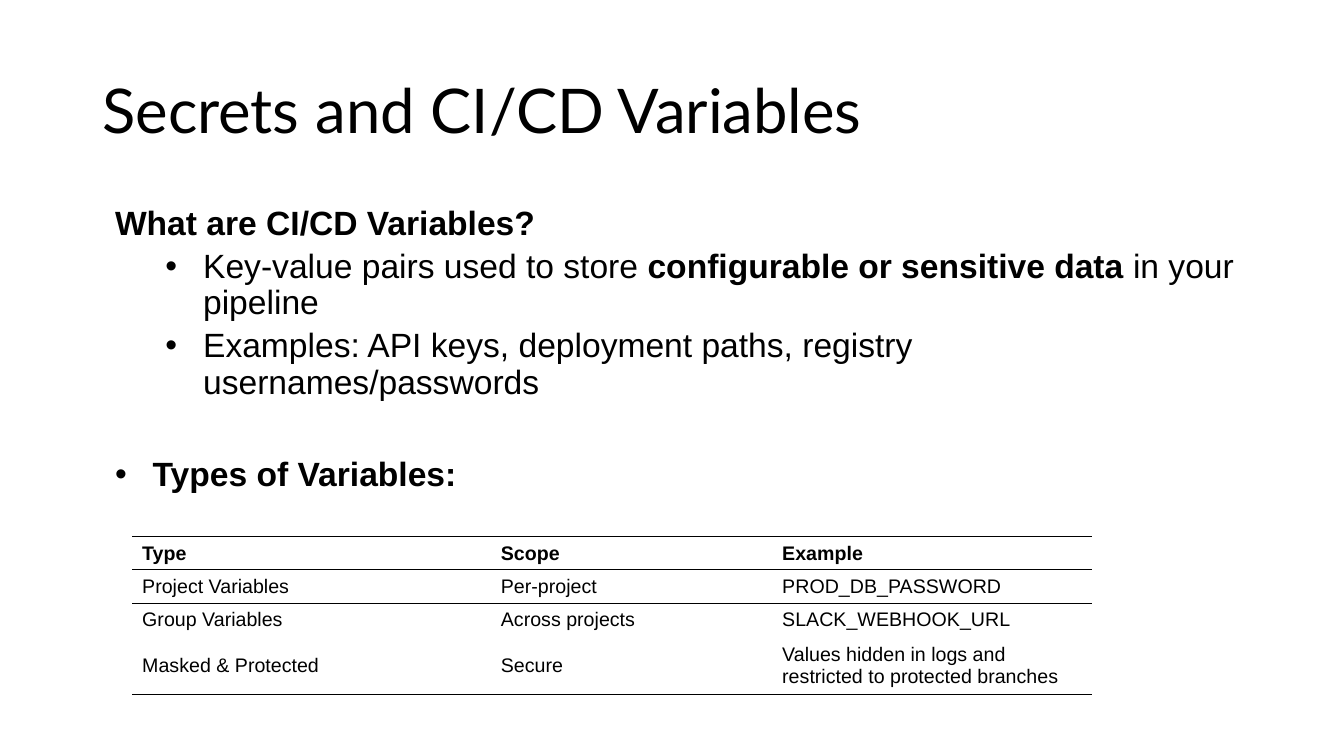
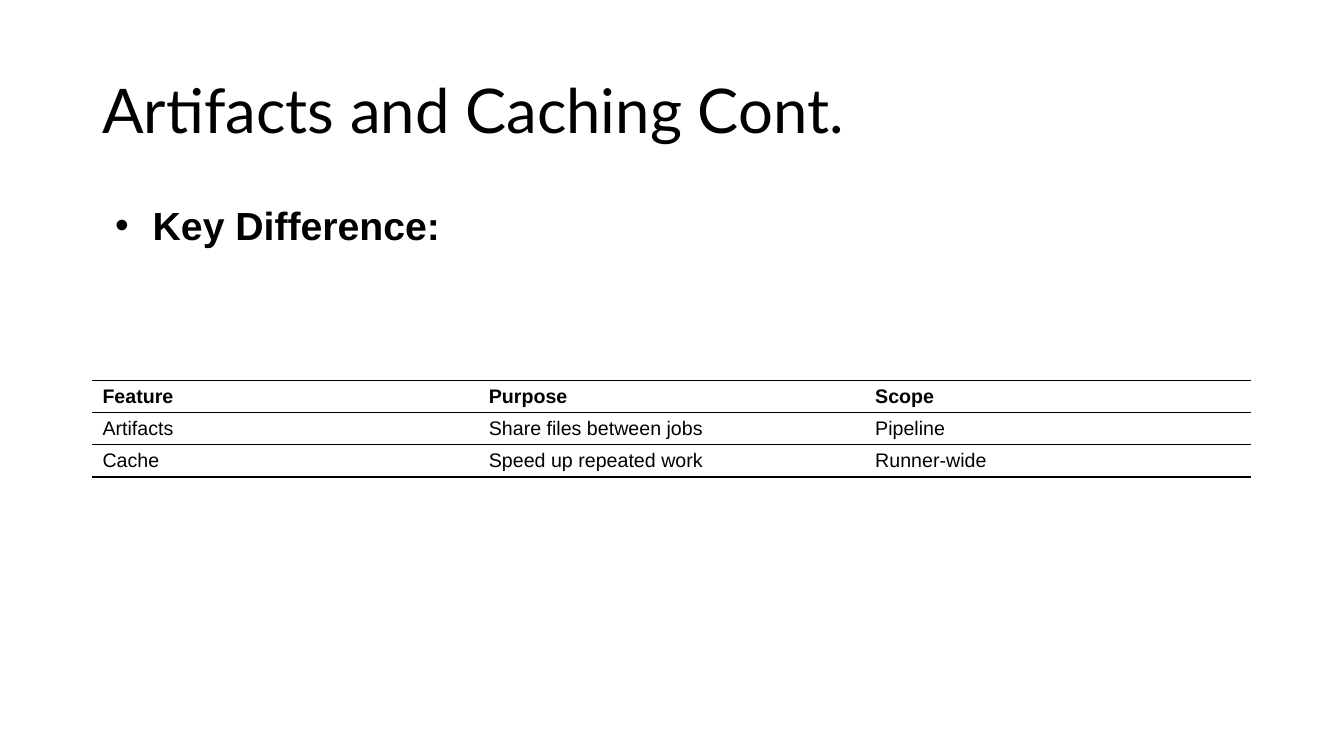
from lxml import etree
from pptx import Presentation
from pptx.dml.color import RGBColor
from pptx.enum.text import MSO_ANCHOR
from pptx.oxml.ns import qn
from pptx.util import Cm, Pt

MIDDLE = MSO_ANCHOR.MIDDLE
INK = "000000"
TITLE_FONT = {"name": "Lato", "size": Pt(44), "bold": False}
TEXT_FONT = {"name": "Arial", "bold": False}
CELL_FORMAT = {"vertical_anchor": MIDDLE, "margin_top": Cm(0.1), "margin_bottom": Cm(0.1)}
LINE_SPACING = 0.9
HANGING = 0.95
LEVEL_INDENT = 1.27
NO_GRID_STYLE = "{2D5ABB26-0587-4C30-8999-92F81FD0307C}"

MARGIN = 2.33
CONTENT_WIDTH = 29.21
TITLE_BOX = (MARGIN, 1.01, CONTENT_WIDTH, 3.68)
BODY_BOX = (MARGIN, 5.07, CONTENT_WIDTH, 12.09)


def apply_format(target, values):
    for name, value in values.items():
        setattr(target, name, value)


def colour(hex_text):
    return RGBColor.from_string(hex_text)


def add_span(para, text, values):
    span = para.add_run()
    span.text = text
    apply_format(span.font, values)
    span.font.color.rgb = colour(INK)


def add_text_frame(slide, box):
    frame = slide.shapes.add_textbox(*map(Cm, box)).text_frame
    frame.word_wrap = True
    return frame


def add_title(slide, box, text):
    frame = add_text_frame(slide, box)
    frame.vertical_anchor = MIDDLE
    para = frame.paragraphs[0]
    para.line_spacing = LINE_SPACING
    add_span(para, text, TITLE_FONT)


def set_indent(para, level, bullet):
    properties = para._p.get_or_add_pPr()
    properties.set("marL", str(Cm(LEVEL_INDENT * (level + 1))))
    properties.set("indent", str(-Cm(HANGING)))
    if bullet:
        tint = etree.SubElement(properties, qn("a:buClr"))
        etree.SubElement(tint, qn("a:srgbClr"), val=INK)
        etree.SubElement(properties, qn("a:buFont"), typeface="Arial")
        etree.SubElement(properties, qn("a:buChar"), char="•")


def add_body(slide, box, size, items):
    frame = add_text_frame(slide, box)
    for index, (level, bullet, space, spans) in enumerate(items):
        para = frame.add_paragraph() if index else frame.paragraphs[0]
        set_indent(para, level, bullet)
        apply_format(para, {"level": level, "line_spacing": LINE_SPACING,
                            "space_before": Pt(space)})
        for text, bold in spans:
            add_span(para, text, {**TEXT_FONT, "size": Pt(size), "bold": bold})


def set_border(cell, edge, visible):
    line = etree.SubElement(cell._tc.get_or_add_tcPr(), qn(f"a:{edge}"), w=str(Pt(1)))
    if visible:
        fill = etree.SubElement(line, qn("a:solidFill"))
        etree.SubElement(fill, qn("a:srgbClr"), val=INK)
    else:
        etree.SubElement(line, qn("a:noFill"))


def add_ruled_table(slide, position, widths, heights, rows, rules):
    size = sum(widths), sum(heights)
    frame = slide.shapes.add_table(len(rows), len(widths), *map(Cm, (*position, *size)))
    table = frame.table
    apply_format(table, {"first_row": True, "horz_banding": False})
    table._tbl.tblPr.find(qn("a:tableStyleId")).text = NO_GRID_STYLE
    for column, width in zip(table.columns, widths):
        column.width = Cm(width)
    for row, height in zip(table.rows, heights):
        row.height = Cm(height)
    for row_index, texts in enumerate(rows):
        borders = {"lnL": False, "lnR": False,
                   "lnT": row_index in rules, "lnB": row_index + 1 in rules}
        for column_index, text in enumerate(texts):
            cell = table.cell(row_index, column_index)
            apply_format(cell, CELL_FORMAT)
            for edge, visible in borders.items():
                set_border(cell, edge, visible)
            cell.fill.background()
            add_span(cell.text_frame.paragraphs[0], text,
                     {**TEXT_FONT, "size": Pt(14), "bold": row_index == 0})


def add_variables_slide(slide):
    add_title(slide, TITLE_BOX, "Secrets and CI/CD Variables")
    add_body(slide, BODY_BOX, 24, [
        (0, False, 0, [("What are CI/CD Variables?", True)]),
        (1, True, 5, [("Key-value pairs used to store ", False),
                      ("configurable or sensitive data", True),
                      (" in your pipeline", False)]),
        (1, True, 5, [("Examples: API keys, deployment paths, registry "
                       "usernames/passwords", False)]),
        (0, True, 40, [("Types of Variables:", True)]),
    ])
    add_ruled_table(slide, (3.33, 13.52), [9.04, 7.09, 8.06], [0.84] * 3 + [1.47], [
        ("Type", "Scope", "Example"),
        ("Project Variables", "Per-project", "PROD_DB_PASSWORD"),
        ("Group Variables", "Across projects", "SLACK_WEBHOOK_URL"),
        ("Masked & Protected", "Secure",
         "Values hidden in logs and restricted to protected branches"),
    ], {0, 1, 2, 4})


def add_caching_slide(slide):
    add_title(slide, TITLE_BOX, "Artifacts and Caching Cont.")
    add_body(slide, BODY_BOX, 28, [(0, True, 0, [("Key Difference:", True)])])
    add_ruled_table(slide, (MARGIN, 9.59), [CONTENT_WIDTH / 3] * 3, [0.81] * 3, [
        ("Feature", "Purpose", "Scope"),
        ("Artifacts", "Share files between jobs", "Pipeline"),
        ("Cache", "Speed up repeated work", "Runner-wide"),
    ], {0, 1, 2, 3})


def main():
    deck = Presentation()
    apply_format(deck, {"slide_width": Cm(33.87), "slide_height": Cm(19.05)})
    blank = deck.slide_layouts[6]
    for build in (add_variables_slide, add_caching_slide):
        build(deck.slides.add_slide(blank))
    deck.save("out.pptx")


if __name__ == "__main__":
    main()
